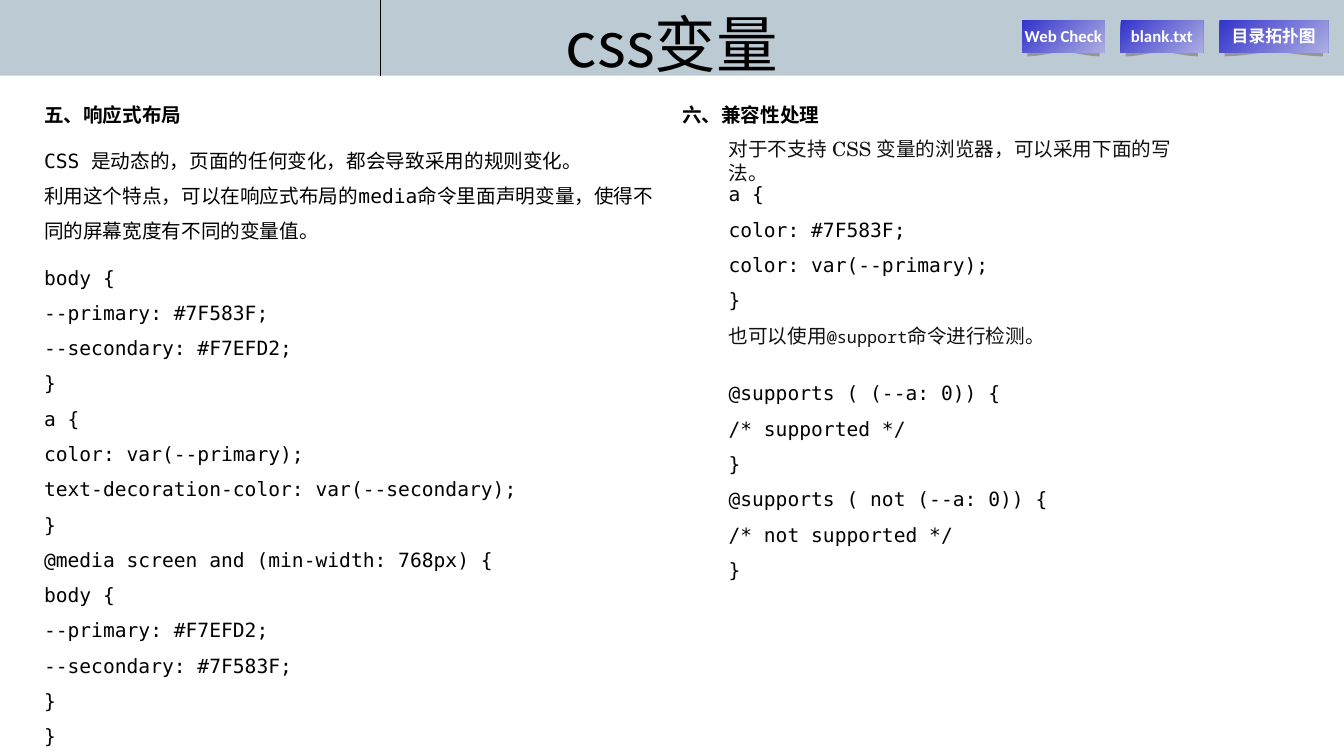
from math import cos, pi

from lxml.etree import SubElement
from pptx import Presentation
from pptx.dml.color import RGBColor
from pptx.enum.shapes import MSO_CONNECTOR, MSO_SHAPE
from pptx.enum.text import MSO_ANCHOR, MSO_AUTO_SIZE, PP_ALIGN
from pptx.oxml.ns import qn
from pptx.util import Cm, Pt

COLORS = {
    "band": "BCCAD4",
    "black": "000000",
    "intro": "111111",
    "white": "FFFFFF",
    "button_dark": "3333CC",
    "button_light": "ADADE2",
    "shade": "969696",
}
CODE = "DejaVu Sans Mono"
SERIF = "TeX Gyre Schola"


def color(name):
    return RGBColor.from_string(COLORS[name])


def add_span(para, text, size, font, tint, bold=False):
    span = para.add_run()
    span.text = text
    span.font.size = Pt(size)
    span.font.name = font
    span.font.bold = bold
    span.font.color.rgb = color(tint)
    SubElement(span.font._element, qn("a:ea")).set("typeface", font)


deck = Presentation()
deck.slide_width, deck.slide_height = Cm(33.87), Cm(19.05)
page = deck.slides.add_slide(deck.slide_layouts[5])
shapes = page.shapes

band = shapes.add_shape(MSO_SHAPE.RECTANGLE, 0, 0, deck.slide_width, Cm(1.91))
band.shadow.inherit = False
band.fill.solid()
band.fill.fore_color.rgb = color("band")
band.line.fill.background()

divider = shapes.add_connector(MSO_CONNECTOR.STRAIGHT, Cm(9.6), 0, Cm(9.6), Cm(1.91))
divider.line.color.rgb = color("black")
divider.line.width = Pt(0.75)
SubElement(divider._element.spPr, qn("a:effectLst"))

title = shapes.title
shapes._spTree.append(title._element)
title.left, title.top, title.width, title.height = 0, Cm(0.03), deck.slide_width, Cm(1.75)
title.text_frame.auto_size = MSO_AUTO_SIZE.NONE
title.text_frame.vertical_anchor = MSO_ANCHOR.TOP
para = title.text_frame.paragraphs[0]
para.alignment = PP_ALIGN.CENTER
para.line_spacing = 1.0
add_span(para, "css变量", 44, "Noto Sans CJK SC", "black")

headings = [(0.86, "五、响应式布局"), (16.94, "六、兼容性处理")]
for left, text in headings:
    box = shapes.add_textbox(Cm(left), Cm(2.46), Cm(4.01), Cm(0.86))
    box.text_frame.word_wrap = False
    box.text_frame.auto_size = MSO_AUTO_SIZE.SHAPE_TO_FIT_TEXT
    add_span(box.text_frame.paragraphs[0], text, 14, SERIF, "black", True)

blocks = [
    (0.86, 3.33, 16.08, 2.95, [
        "CSS 是动态的，页面的任何变化，都会导致采用的规则变化。",
        "利用这个特点，可以在响应式布局的media命令里面声明变量，使得不同的屏幕宽度有不同的变量值。",
    ]),
    (0.86, 6.27, 16.08, 12.73, [
        "body {",
        "--primary: #7F583F;",
        "--secondary: #F7EFD2;",
        "}",
        "a {",
        "color: var(--primary);",
        "text-decoration-color: var(--secondary);",
        "}",
        "@media screen and (min-width: 768px) {",
        "body {",
        "--primary: #F7EFD2;",
        "--secondary: #7F583F;",
        "}",
        "}",
    ]),
    (18.11, 4.17, 15.34, 3.76, [
        "a {",
        "color: #7F583F;",
        "color: var(--primary);",
        "}",
    ]),
    (18.11, 9.19, 15.34, 5.54, [
        "@supports ( (--a: 0)) {",
        "/* supported */",
        "}",
        "@supports ( not (--a: 0)) {",
        "/* not supported */",
        "}",
    ]),
]
for left, top, width, height, lines in blocks:
    box = shapes.add_textbox(Cm(left), Cm(top), Cm(width), Cm(height))
    frame = box.text_frame
    frame.word_wrap = True
    frame.auto_size = MSO_AUTO_SIZE.SHAPE_TO_FIT_TEXT
    for index, line in enumerate(lines):
        para = frame.add_paragraph() if index else frame.paragraphs[0]
        para.line_spacing = 1.5
        add_span(para, line, 14, CODE, "black")

intros = [
    (3.33, 12.1, [("对于不支持 CSS 变量的浏览器，可以采用下面的写法。", 14, SERIF)]),
    (8.03, 8.1, [
        ("也可以使用", 14, SERIF),
        ("@support", 12, "Noto Sans Mono"),
        ("命令进行检测。", 14, SERIF),
    ]),
]
for top, width, spans in intros:
    box = shapes.add_textbox(Cm(18.11), Cm(top), Cm(width), Cm(0.86))
    box.text_frame.word_wrap = True
    for text, size, font in spans:
        add_span(box.text_frame.paragraphs[0], text, size, font, "intro")

buttons = [(25.76, 2.08, "Web Check"), (28.24, 2.08, "blank.txt"), (30.73, 2.74, "目录拓扑图")]
curve_steps = 20
for left, width, label in buttons:
    group = shapes.add_group_shape()
    start, span_width = left + 0.13, width - 0.26
    outline = group.shapes.build_freeform(Cm(start), Cm(1.14))
    points = [(start + span_width / 2, 1.04), (start + span_width, 1.14)]
    for step in range(curve_steps + 1):
        share = step / curve_steps
        points.append((start + span_width * (1 - share), 1.37 + 0.05 * cos(2 * pi * share)))
    outline.add_line_segments([(Cm(x), Cm(y)) for x, y in points], close=True)
    shade = outline.convert_to_shape()
    shade.shadow.inherit = False
    shade.fill.solid()
    shade.fill.fore_color.rgb = color("shade")
    shade.line.fill.background()

    button = group.shapes.add_shape(MSO_SHAPE.RECTANGLE, Cm(left), Cm(0.51), Cm(width), Cm(0.81))
    button.shadow.inherit = False
    button.fill.gradient()
    button.fill.gradient_angle = 315
    for stop, tint in zip(button.fill.gradient_stops, ("button_dark", "button_light")):
        stop.color.rgb = color(tint)
    button.line.fill.background()
    button.text_frame.word_wrap = False
    button.text_frame.vertical_anchor = MSO_ANCHOR.MIDDLE
    para = button.text_frame.paragraphs[0]
    para.alignment = PP_ALIGN.CENTER
    add_span(para, label, 12, "Calibri", "white", True)

deck.save("out.pptx")
